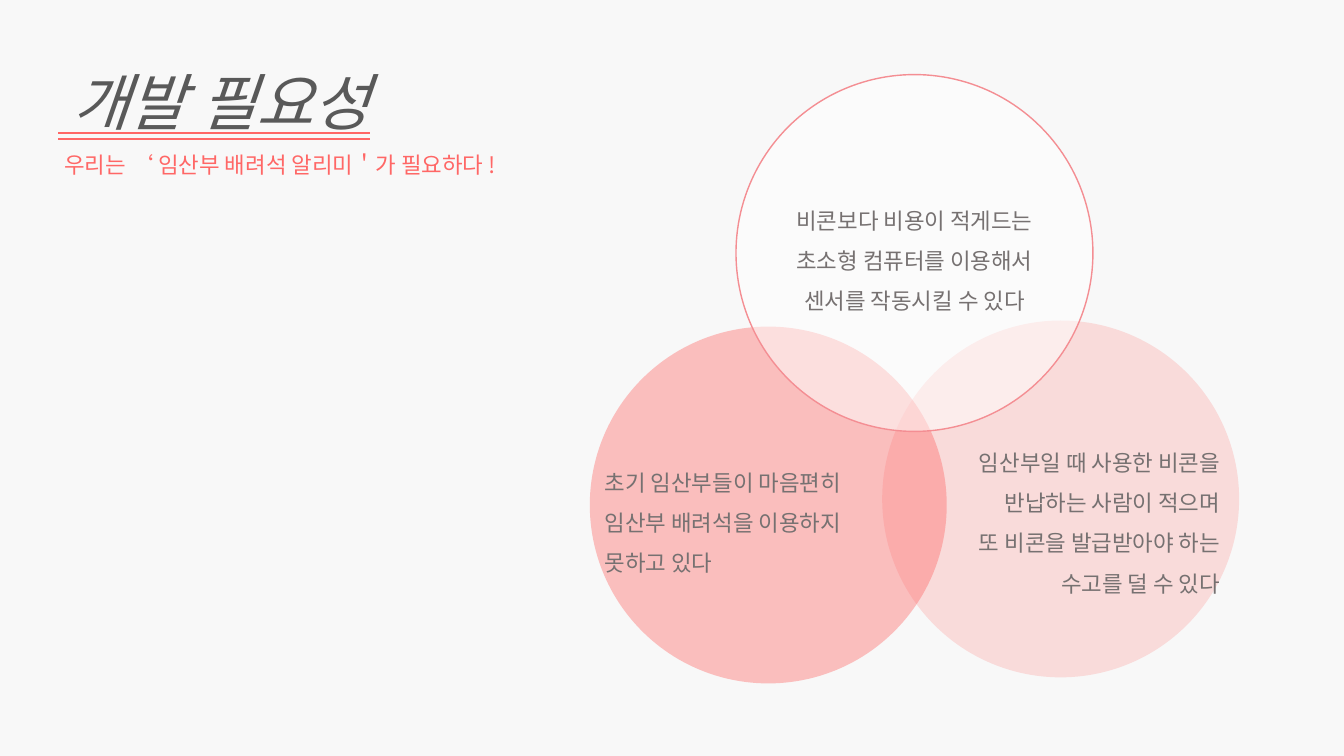
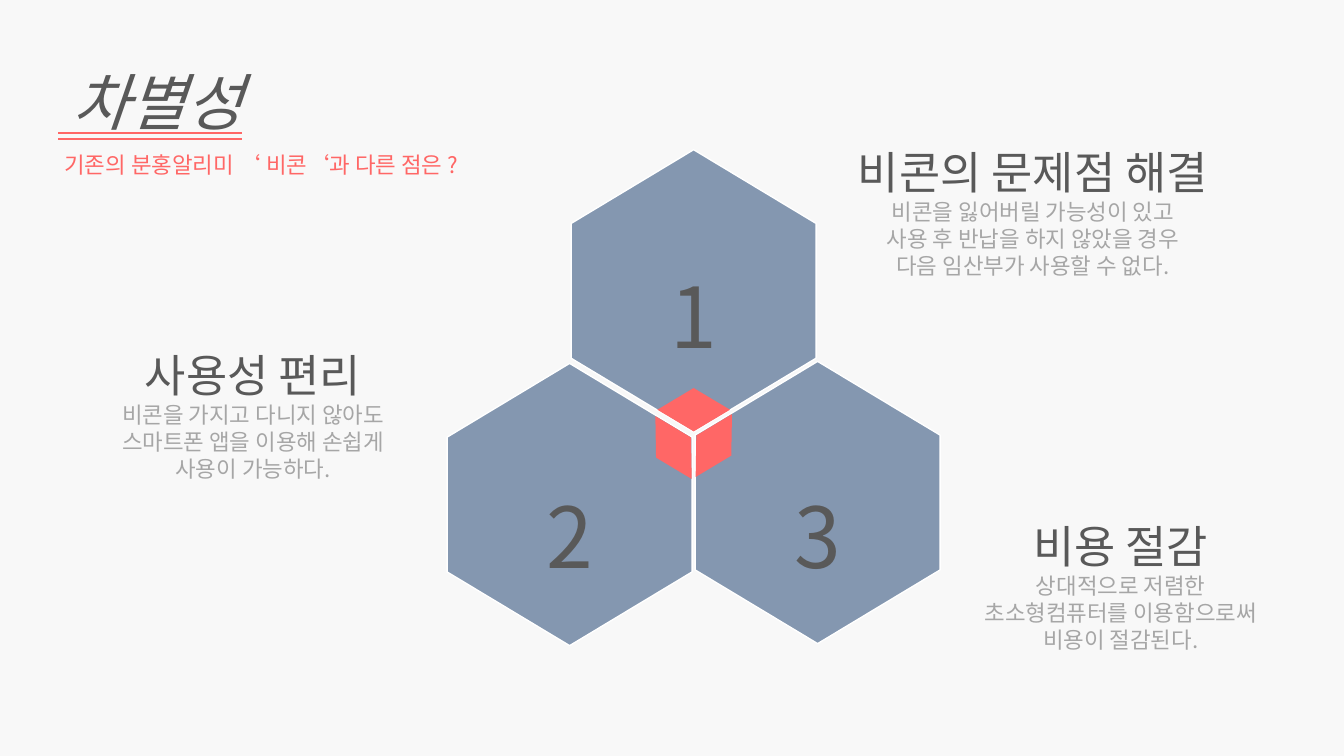
from dataclasses import dataclass

from lxml import etree
from pptx import Presentation
from pptx.dml.color import RGBColor
from pptx.enum.shapes import MSO_SHAPE as Preset
from pptx.enum.text import MSO_ANCHOR as Anchor
from pptx.enum.text import MSO_AUTO_SIZE as AutoSize
from pptx.enum.text import MSO_UNDERLINE as Underline
from pptx.enum.text import PP_ALIGN as Align
from pptx.oxml.ns import qn
from pptx.util import Inches, Pt


@dataclass(frozen=True)
class Theme:
    """Colours, font and type sizes shared by the slides."""
    font: str = "Noto Sans CJK KR"
    background: str = "F8F8F8"
    accent: str = "FF6766"
    outline: str = "F48E93"
    hexagon: str = "8497B0"
    white: str = "FFFFFF"
    dark: str = "595959"
    body: str = "767171"
    muted: str = "A6A6A6"
    title_size: int = 44
    heading_size: int = 32
    body_size: int = 16
    number_size: int = 60
    loose: float = 1.5


THEME = Theme()

NEED = {
    "title": " 개발 필요성",
    "subtitle": "우리는 ‘ 임산부 배려석 알리미＇가 필요하다 !",
    "circle_size": 3.54,
    "circles": [
        (8.75, 3.18, THEME.accent, 20, None),
        (5.85, 3.24, THEME.accent, 40, None),
        (7.3, 0.74, THEME.white, 51, THEME.outline),
    ],
    "texts": [
        ((5.9, 4.47, 2.76, 1.31), Align.LEFT,
         ["초기 임산부들이 마음편히", "임산부 배려석을 이용하지", "못하고 있다"]),
        ((9.39, 4.27, 2.81, 1.72), Align.RIGHT,
         ["임산부일 때 사용한 비콘을", "반납하는 사람이 적으며",
          "또 비콘을 발급받아야 하는", "수고를 덜 수 있다"]),
        ((7.31, 1.87, 3.52, 1.31), Align.CENTER,
         ["비콘보다 비용이 적게드는", "초소형 컴퓨터를 이용해서",
          "센서를 작동시킬 수 있다"]),
    ],
}

DIFFERENCE = {
    "title": " 차별성",
    "subtitle": "기존의 분홍알리미 ‘ 비콘‘과 다른 점은 ?",
    "hexagon_size": (2.8, 2.43),
    "number_size": (1.16, 1.5),
    "hexagons": [
        ("1", 5.48, 1.67, 2.08),
        ("2", 4.25, 3.79, 4.26),
        ("3", 6.71, 3.77, 4.26),
    ],
    "diamonds": [
        ((6.52, 3.85, 0.72, 0.43), 0),
        ((6.72, 4.22, 0.72, 0.4), 300),
        ((6.32, 4.24, 0.72, 0.4), 60),
    ],
    "cards": [
        ((8.09, 1.12, 4.31, 1.72), "비콘의 문제점 해결",
         ["비콘을 잃어버릴 가능성이 있고", "사용 후 반납을 하지 않았을 경우",
          "다음 임산부가 사용할 수 없다."]),
        ((0.7, 3.13, 3.62, 1.72), "사용성 편리",
         ["비콘을 가지고 다니지 않아도", "스마트폰 앱을 이용해 손쉽게",
          "사용이 가능하다."]),
        ((9.37, 4.83, 3.49, 1.72), "비용 절감",
         ["상대적으로 저렴한", "초소형컴퓨터를 이용함으로써",
          "비용이 절감된다."]),
    ],
}


def color(value):
    """Return an RGB colour for a hex value."""
    return RGBColor.from_string(value)


def write_lines(shape, lines, align=Align.LEFT):
    """Write (text, size, colour, spacing) lines and return the runs."""
    frame = shape.text_frame
    frame.word_wrap = True
    frame.auto_size = AutoSize.NONE
    frame.vertical_anchor = Anchor.TOP
    runs = []
    for index, (text, size, hue, spacing) in enumerate(lines):
        paragraph = frame.add_paragraph() if index else frame.paragraphs[0]
        paragraph.alignment = align
        paragraph.line_spacing = spacing
        run = paragraph.add_run()
        run.text = text
        run.font.size = Pt(size)
        run.font.color.rgb = color(hue)
        run.font.name = THEME.font
        east_asian = etree.SubElement(run.font._element, qn("a:ea"))
        east_asian.set("typeface", THEME.font)
        runs.append(run)
    return runs


def add_text(slide, box, lines, align=Align.LEFT):
    """Add a text box with formatted lines."""
    shape = slide.shapes.add_textbox(*map(Inches, box))
    write_lines(shape, lines, align)


def add_filled(slide, preset, box, fill, rotation=0, line=None):
    """Add a flat preset shape with an optional outline."""
    shape = slide.shapes.add_shape(preset, *map(Inches, box))
    shape.shadow.inherit = False
    shape.rotation = rotation
    shape.fill.solid()
    shape.fill.fore_color.rgb = color(fill)
    if line:
        shape.line.color.rgb = color(line)
        shape.line.width = Pt(1)
    else:
        shape.line.fill.background()
    return shape


def set_opacity(shape, percent):
    """Make the fill of a shape partly transparent."""
    fill = shape._element.spPr.find(qn("a:solidFill"))
    alpha = etree.SubElement(fill.find(qn("a:srgbClr")), qn("a:alpha"))
    alpha.set("val", str(percent * 1000))


def underline_in_accent(run):
    """Give a run a double underline in the accent colour."""
    run.font.underline = Underline.DOUBLE_LINE
    underline = etree.Element(qn("a:uFill"))
    fill = etree.SubElement(underline, qn("a:solidFill"))
    etree.SubElement(fill, qn("a:srgbClr")).set("val", THEME.accent)
    run.font._element.find(qn("a:latin")).addprevious(underline)


def add_titled_slide(presentation, content):
    """Add a slide with the shared title and subtitle."""
    slide = presentation.slides.add_slide(presentation.slide_layouts[5])
    title = slide.shapes.title
    title.left, title.top, title.width, title.height = map(
        Inches, (0.48, 0.22, 6.65, 1.2))
    run, = write_lines(title, [
        (content["title"], THEME.title_size, THEME.dark, THEME.loose)])
    run.font.italic = True
    underline_in_accent(run)
    add_text(slide, (0.54, 1.32, 6.59, 0.5), [
        (content["subtitle"], THEME.body_size, THEME.accent, THEME.loose)])
    return slide


def build_need(presentation):
    """Build the three overlapping circles."""
    slide = add_titled_slide(presentation, NEED)
    size = NEED["circle_size"]
    for left, top, fill, opacity, line in NEED["circles"]:
        circle = add_filled(
            slide, Preset.OVAL, (left, top, size, size), fill, line=line)
        set_opacity(circle, opacity)
    for box, align, texts in NEED["texts"]:
        add_text(slide, box, [
            (text, THEME.body_size, THEME.body, THEME.loose)
            for text in texts], align)


def build_difference(presentation):
    """Build the numbered hexagons with their cards."""
    slide = add_titled_slide(presentation, DIFFERENCE)
    width, height = DIFFERENCE["hexagon_size"]
    for _, left, top, _ in DIFFERENCE["hexagons"]:
        hexagon = add_filled(slide, Preset.HEXAGON, (left, top, width, height),
                             THEME.hexagon, 270, THEME.white)
        hexagon.adjustments[0] = 0.301
    for box, rotation in DIFFERENCE["diamonds"]:
        add_filled(slide, Preset.DIAMOND, box, THEME.accent, rotation)
    number_width, number_height = DIFFERENCE["number_size"]
    for number, left, _, number_top in DIFFERENCE["hexagons"]:
        number_left = left + (width - number_width) / 2
        add_text(slide, (number_left, number_top, number_width, number_height),
                 [(number, THEME.number_size, THEME.dark, THEME.loose)],
                 Align.CENTER)
    for box, heading, texts in DIFFERENCE["cards"]:
        lines = [(heading, THEME.heading_size, THEME.dark, THEME.loose)]
        lines += [(text, THEME.body_size, THEME.muted, 1.0) for text in texts]
        add_text(slide, box, lines, Align.CENTER)


def main():
    """Build and save the presentation."""
    presentation = Presentation()
    presentation.slide_width = Inches(13.33)
    presentation.slide_height = Inches(7.5)
    background = presentation.slide_master.background.fill
    background.solid()
    background.fore_color.rgb = color(THEME.background)
    build_need(presentation)
    build_difference(presentation)
    presentation.save("out.pptx")


if __name__ == "__main__":
    main()
